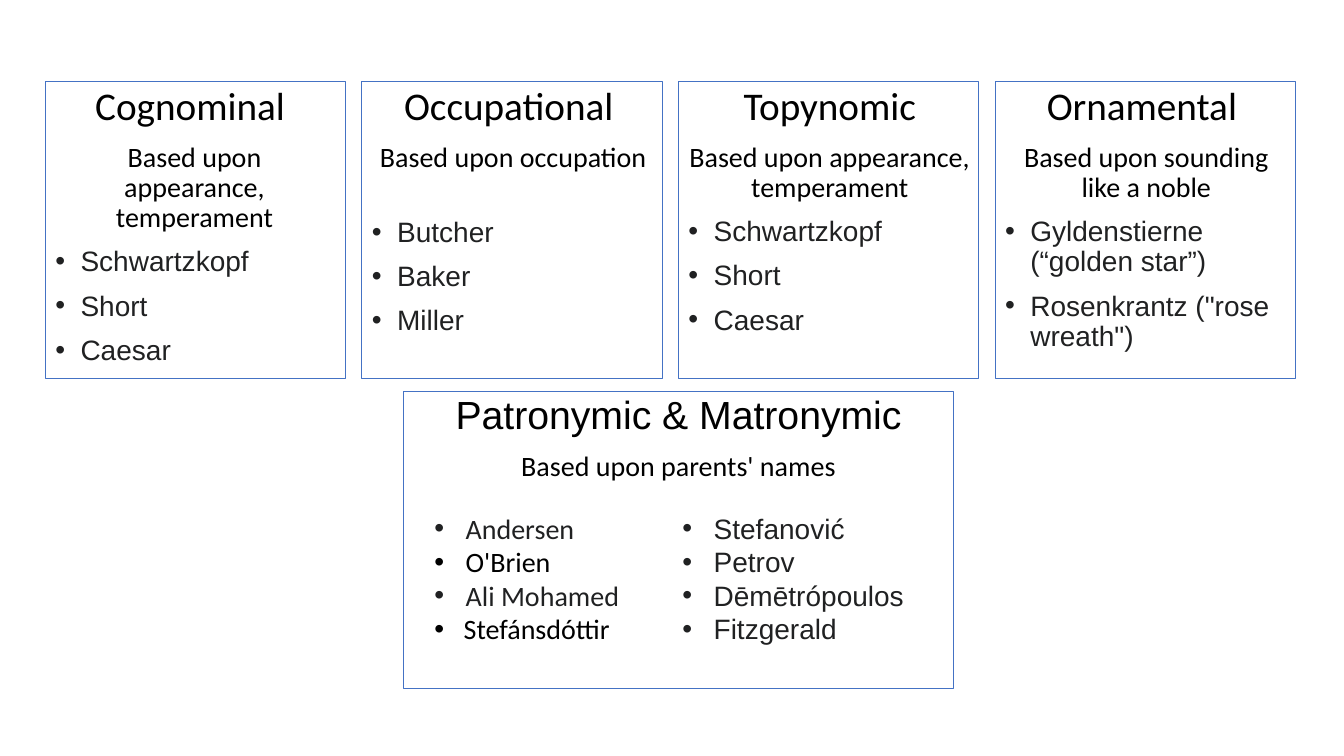
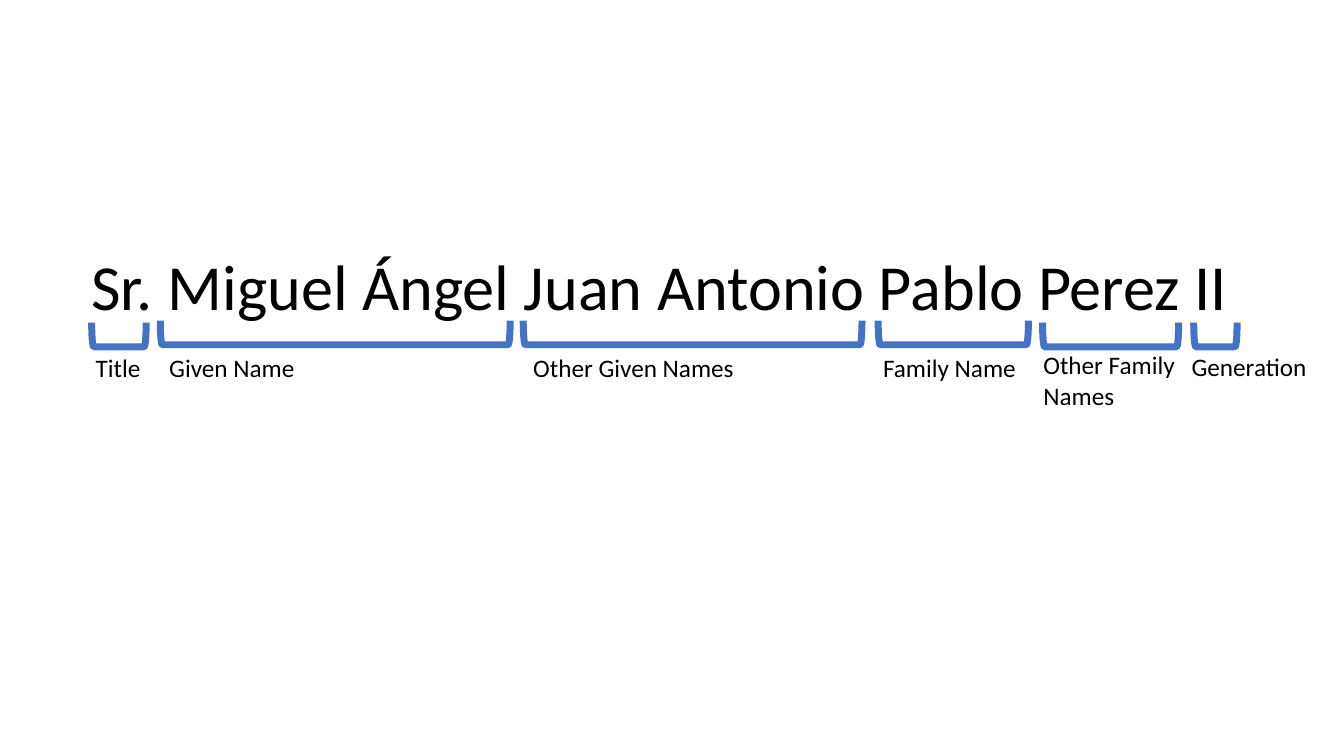
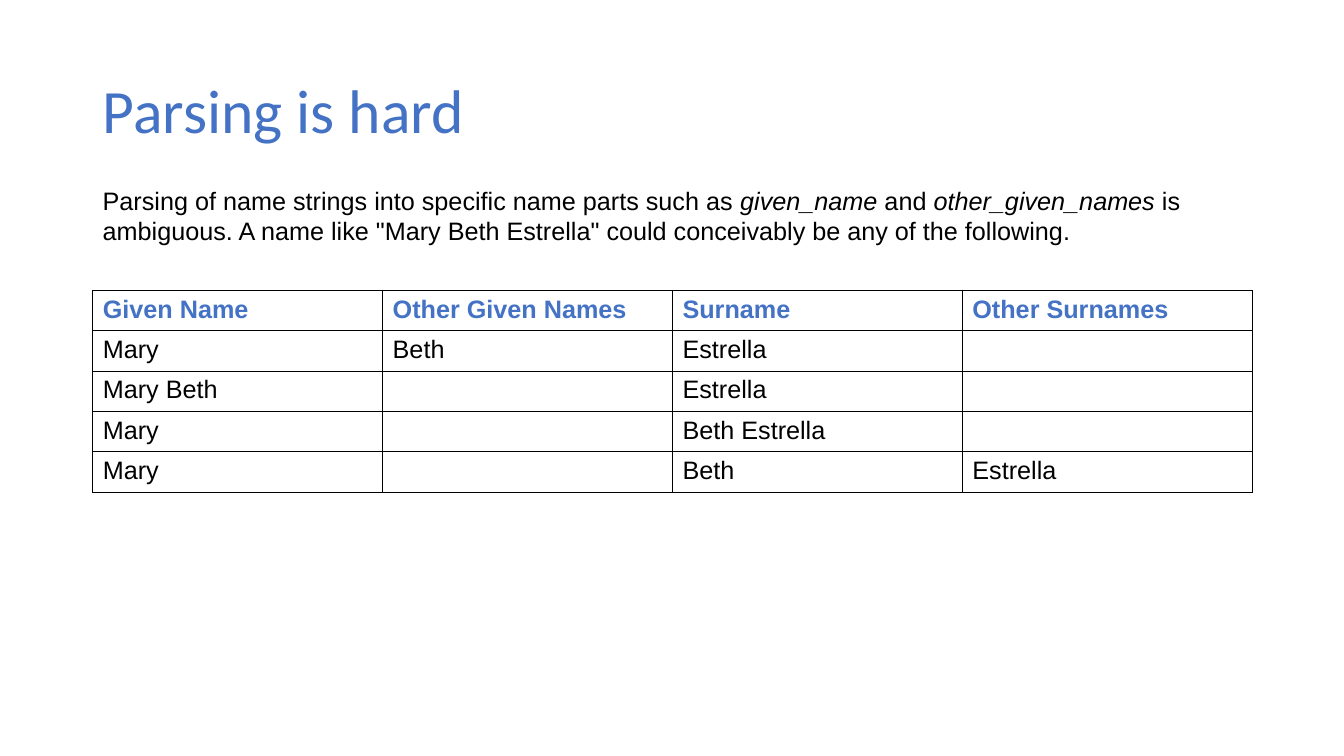
"""Build three slides on kinds of surnames, the parts of a name and name parsing."""
from pptx import Presentation
from pptx.dml.color import RGBColor
from pptx.enum.shapes import MSO_SHAPE
from pptx.enum.text import MSO_ANCHOR, PP_ALIGN
from pptx.oxml.ns import qn
from pptx.util import Inches, Pt
from lxml import etree

RECT, BRACKET = MSO_SHAPE.RECTANGLE, MSO_SHAPE.LEFT_BRACKET
LEFT, CENTER = PP_ALIGN.LEFT, PP_ALIGN.CENTER
TOP, MIDDLE = MSO_ANCHOR.TOP, MSO_ANCHOR.MIDDLE
BLUE, BLACK, INK = "4472C4", "000000", "202122"


def add_frame(s, x, y, w, h, outlined=False, anchor=TOP):
    """Add a text box, or a blue-outlined rectangle, and return its text frame."""
    box = [Inches(v) for v in (x, y, w, h)]
    if outlined:
        sp = s.shapes.add_shape(RECT, *box)
        sp.shadow.inherit = False
        sp.fill.background()
        sp.line.color.rgb = RGBColor.from_string(BLUE)
        sp.line.width = Pt(0.75)
    else:
        sp = s.shapes.add_textbox(*box)
    tf = sp.text_frame
    tf.word_wrap = True
    tf.vertical_anchor = anchor
    return tf


def add_text(tf, text, size, font="Calibri", color=BLACK, align=LEFT,
             spacing=1.0, before=0, indent=0):
    """Write one paragraph, bulleted when it has an indent, and return it."""
    p = tf.add_paragraph() if tf.text else tf.paragraphs[0]
    p.text = text
    p.alignment, p.line_spacing, p.space_before = align, spacing, Pt(before)
    p.font.size, p.font.name = Pt(size), font
    p.font.color.rgb = RGBColor.from_string(color)
    if indent:
        pPr = p._p.get_or_add_pPr()
        pPr.set("marL", str(Inches(indent)))
        pPr.set("indent", str(-Inches(indent)))
        defRPr = pPr.find(qn("a:defRPr"))
        bullet_font = etree.Element(qn("a:buFont"), typeface="Arial")
        bullet = etree.Element(qn("a:buChar"), char="•")
        defRPr.addprevious(bullet_font)
        defRPr.addprevious(bullet)
    return p


prs = Presentation()
prs.slide_width, prs.slide_height = Inches(13.33), Inches(7.5)
blank = prs.slide_layouts[6]

s = prs.slides.add_slide(blank)
cards = [
    ("Cognominal ", "Based upon appearance, temperament", 0.12, 10,
     ["Schwartzkopf", "Short", "Caesar"]),
    ("Occupational ", "Based upon occupation", 0.08, 32,
     ["Butcher", "Baker", "Miller"]),
    ("Topynomic", "Based upon appearance, temperament", 0.08, 10,
     ["Schwartzkopf", "Short", "Caesar"]),
    ("Ornamental ", "Based upon sounding like a noble", 0.08, 10,
     ["Gyldenstierne (“golden star”)", "Rosenkrantz (\"rose wreath\")"]),
]
for i, (title, basis, margin, gap, names) in enumerate(cards):
    tf = add_frame(s, 0.45 + 3.14 * i, 0.81, 2.98, 2.95, outlined=True)
    tf.margin_right = Inches(margin)
    add_text(tf, title, 28, align=CENTER, spacing=0.9)
    add_text(tf, basis, 20, align=CENTER, spacing=0.9, before=10)
    for j, name in enumerate(names):
        add_text(tf, name, 20, "Arial", INK, spacing=0.9,
                 before=10 if j else gap, indent=0.25)

tf = add_frame(s, 4, 3.88, 5.46, 2.95, outlined=True)
add_text(tf, "Patronymic & Matronymic", 28, "Arial", align=CENTER, spacing=0.9)
add_text(tf, "Based upon parents' names", 20, align=CENTER, spacing=0.9, before=10)
columns = [
    (4.21, "Calibri", [("Andersen", INK, 0.31), ("O'Brien", BLACK, 0.31),
                       ("Ali Mohamed", INK, 0.31), ("Stefánsdóttir", BLACK, 0.29)]),
    (6.67, "Arial", [(name, INK, 0.31) for name in
                     ("Stefanović", "Petrov", "Dēmētrópoulos", "Fitzgerald")]),
]
for x, font, names in columns:
    tf = add_frame(s, x, 5.02, 2.51, 1.45)
    for name, color, indent in names:
        add_text(tf, name, 20, font, color, indent=indent)

s = prs.slides.add_slide(blank)
tf = add_frame(s, 0.59, 2.54, 11.9, 0.9)
add_text(tf, "Sr. Miguel Ángel Juan Antonio Pablo Perez II", 45.9,
         align=CENTER, spacing=0.8)
depth = 0.24
name_parts = [
    ("Title", 0.91, 0.54, 3.32, 0.85, 3.45, 0.75),
    ("Given Name", 1.59, 3.47, 3.3, 1.58, 3.45, 1.56),
    ("Other Given Names", 5.19, 3.36, 3.3, 5.19, 3.45, 2.31),
    ("Family Name", 8.71, 1.49, 3.3, 8.66, 3.45, 1.63),
    ("Other Family Names", 10.34, 1.35, 3.32, 10.25, 3.42, 1.75),
    ("Generation", 11.84, 0.43, 3.32, 11.72, 3.44, 1.46),
]
for label, x, span, middle, label_x, label_y, label_w in name_parts:
    sp = s.shapes.add_shape(BRACKET, Inches(x + (span - depth) / 2),
                            Inches(middle - span / 2), Inches(depth), Inches(span))
    sp.rotation = 270
    sp.shadow.inherit = False
    sp.fill.background()
    sp.line.color.rgb = RGBColor.from_string(BLUE)
    sp.line.width = Pt(5)
    add_text(add_frame(s, label_x, label_y, label_w, 0.4), label, 18)

s = prs.slides.add_slide(blank)
tf = add_frame(s, 0.92, 0.4, 11.5, 1.45, anchor=MIDDLE)
add_text(tf, "Parsing is hard", 44, color=BLUE, spacing=0.9)
tf = add_frame(s, 0.92, 1.48, 11.39, 1.31, anchor=MIDDLE)
p = add_text(tf, "", 18, "Arial")
for text, italic in [
    ("Parsing of name strings into specific name parts such as ", False),
    ("given_name ", True),
    ("and ", False),
    ("other_given_names ", True),
    ("is ambiguous. A name like \"Mary Beth Estrella\" could conceivably "
     "be any of the following.", False),
]:
    r = p.add_run()
    r.text = text
    r.font.italic = italic

rows = [
    ("Given Name", "Other Given Names", "Surname", "Other Surnames"),
    ("Mary", "Beth", "Estrella", ""),
    ("Mary Beth", "", "Estrella", ""),
    ("Mary", "", "Beth Estrella", ""),
    ("Mary", "", "Beth", "Estrella"),
]
table = s.shapes.add_table(len(rows), 4, Inches(0.92), Inches(2.88),
                           Inches(11.5), Inches(0.38 * len(rows))).table
table.first_row = table.horz_banding = False
for i, row in enumerate(rows):
    for j, text in enumerate(row):
        cell = table.cell(i, j)
        p = add_text(cell.text_frame, text, 18, "Arial", BLACK if i else BLUE)
        p.font.bold = i == 0
        tcPr = cell._tc.get_or_add_tcPr()
        for side in ("lnL", "lnR", "lnT", "lnB"):
            ln = etree.SubElement(tcPr, qn(f"a:{side}"), w=str(Pt(0.75)))
            fill = etree.SubElement(ln, qn("a:solidFill"))
            etree.SubElement(fill, qn("a:srgbClr"), val=BLACK)
        cell.fill.background()

prs.save("out.pptx")
